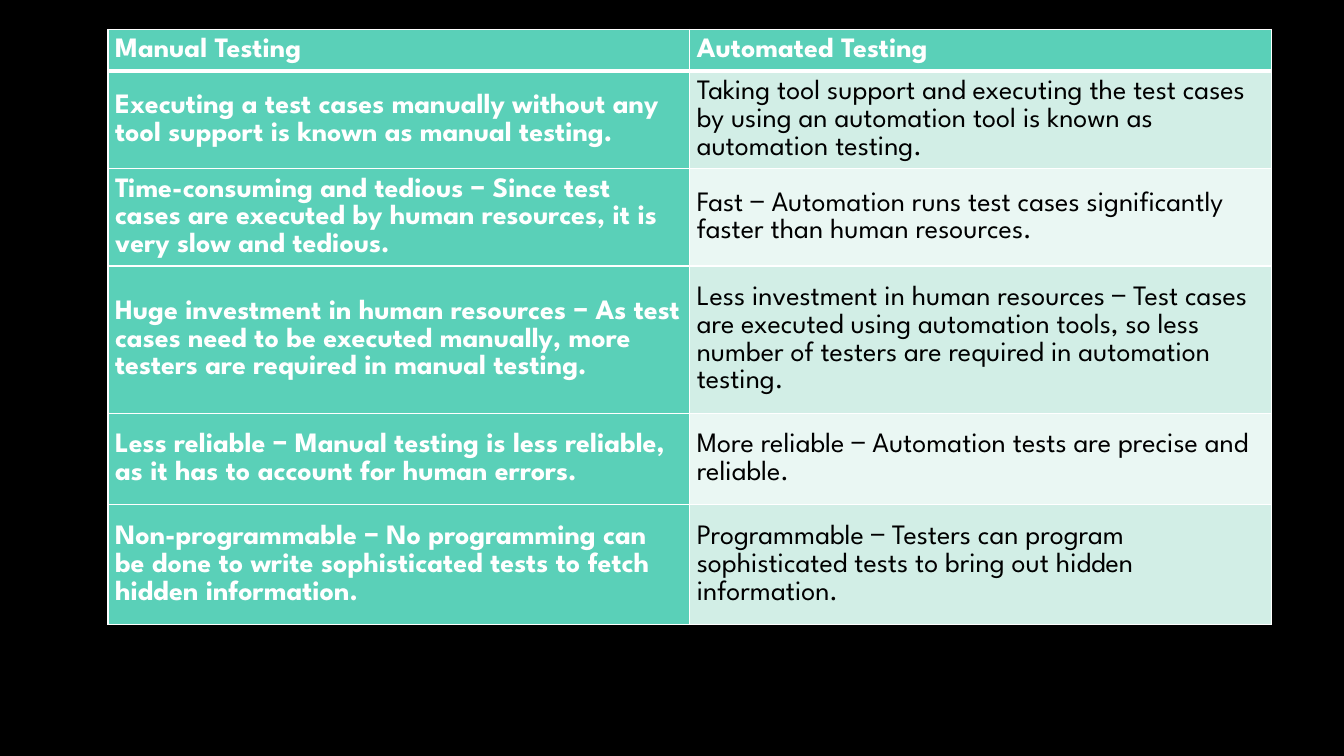
from pptx import Presentation, oxml, util as u
from pptx.dml.color import RGBColor
from pptx.enum import text
from pptx.oxml import ns

TEAL, MINT, PALE = "5AD0B8", "D2EEE6", "EAF7F3"
WHITE, BLACK = "FFFFFF", "000000"

ROWS = [
    ("Manual Testing", "Automated Testing"),
    ("Executing a test cases manually without any tool support is known as manual testing.",
     "Taking tool support and executing the test cases by using an automation tool "
     "is known as automation testing."),
    ("Time-consuming and tedious − Since test cases are executed by human resources, "
     "it is very slow and tedious.",
     "Fast − Automation runs test cases significantly faster than human resources."),
    ("Huge investment in human resources − As test cases need to be executed manually, "
     "more testers are required in manual testing.",
     "Less investment in human resources − Test cases are executed using automation tools, "
     "so less number of testers are required in automation testing."),
    ("Less reliable − Manual testing is less reliable, as it has to account for human errors.",
     "More reliable − Automation tests are precise and reliable."),
    ("Non-programmable − No programming can be done to write sophisticated tests "
     "to fetch hidden information.",
     "Programmable − Testers can program sophisticated tests to bring out hidden information."),
]
ROW_HEIGHTS = [0.94, 2.39, 2.39, 3.71, 2.31, 3.02]
COLUMN_WIDTH = 14.66


def colour(value):
    return RGBColor.from_string(value)


class Page:
    font = "League Spartan"
    size = 20
    inset = u.Cm(0.18)

    def __init__(self, deck, background):
        self.slide = deck.slides.add_slide(deck.slide_layouts[6])
        fill = self.slide.background.fill
        fill.solid()
        fill.fore_color.rgb = colour(background)

    def border(self, cell, side, width):
        properties = cell._tc.get_or_add_tcPr()
        properties.append(oxml.parse_xml(
            f'<a:ln{side} {ns.nsdecls("a")} w="{u.Pt(width)}"><a:solidFill>'
            f'<a:srgbClr val="{WHITE}"/></a:solidFill></a:ln{side}>'))

    def cell(self, cell, words, fill, ink, bold, top, bottom):
        for side, width in (("L", 1), ("R", 1), ("T", top), ("B", bottom)):
            self.border(cell, side, width)
        cell.fill.solid()
        cell.fill.fore_color.rgb = colour(fill)
        cell.vertical_anchor = text.MSO_ANCHOR.MIDDLE
        cell.margin_left = cell.margin_right = self.inset
        cell.margin_top = cell.margin_bottom = self.inset
        para = cell.text_frame.paragraphs[0]
        para.text = words
        para.line_spacing = 1.07
        para.space_after = u.Pt(8)
        para.font.name = self.font
        para.font.size = u.Pt(self.size)
        para.font.bold = bold
        para.font.color.rgb = colour(ink)

    def table(self, left, top, rows, heights, column_width):
        columns = len(rows[0])
        table = self.slide.shapes.add_table(
            len(rows), columns, u.Cm(left), u.Cm(top),
            u.Cm(column_width * columns), u.Cm(sum(heights))).table
        table.first_col = True
        for column in table.columns:
            column.width = u.Cm(column_width)
        for r, (words, height) in enumerate(zip(rows, heights)):
            table.rows[r].height = u.Cm(height)
            for c, phrase in enumerate(words):
                # Header row and first column are teal, the rest is banded
                heading = r == 0 or c == 0
                fill = TEAL if heading else MINT if r % 2 else PALE
                self.cell(table.cell(r, c), phrase, fill,
                          WHITE if heading else BLACK, heading,
                          top=3 if r == 1 else 1, bottom=3 if r == 0 else 1)


def main():
    deck = Presentation()
    deck.slide_width, deck.slide_height = u.Cm(33.87), u.Cm(19.05)

    # Comparison table
    page = Page(deck, BLACK)
    page.table(2.72, 0.74, ROWS, ROW_HEIGHTS, COLUMN_WIDTH)

    deck.save("out.pptx")


if __name__ == "__main__":
    main()
